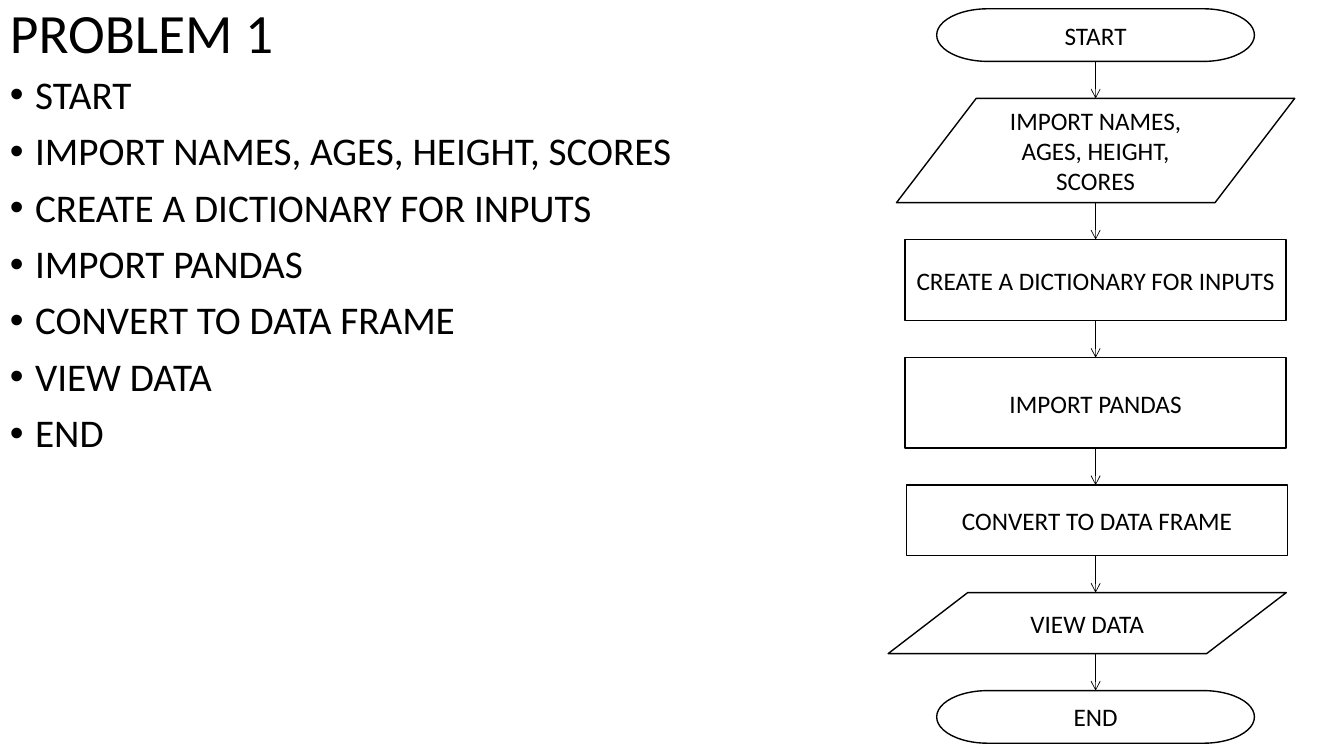
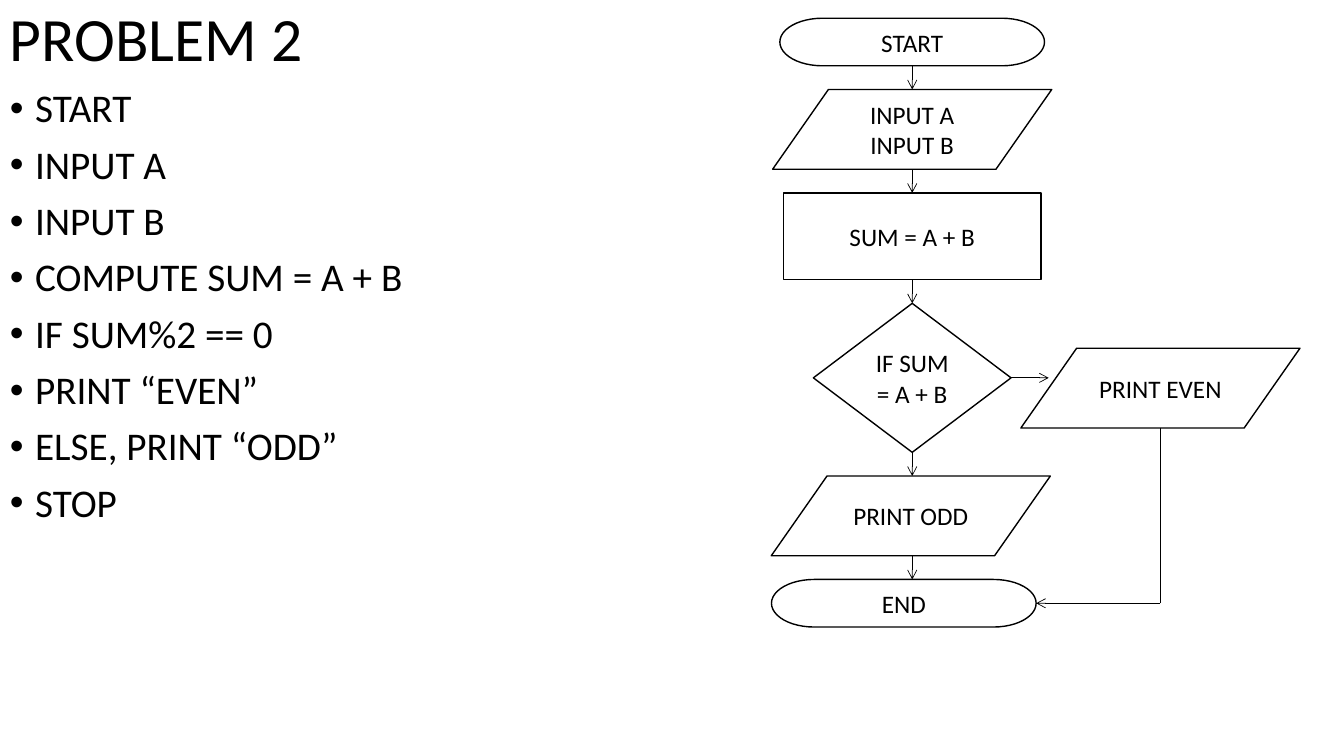
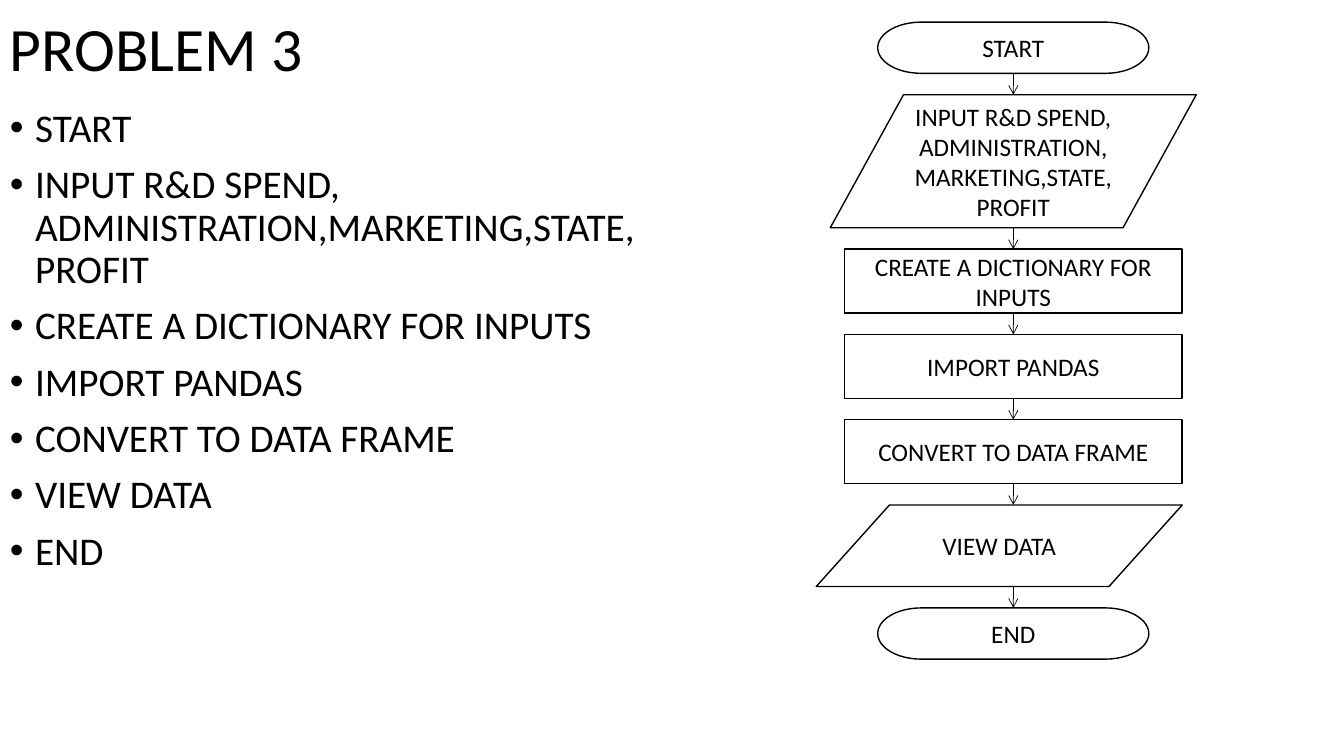
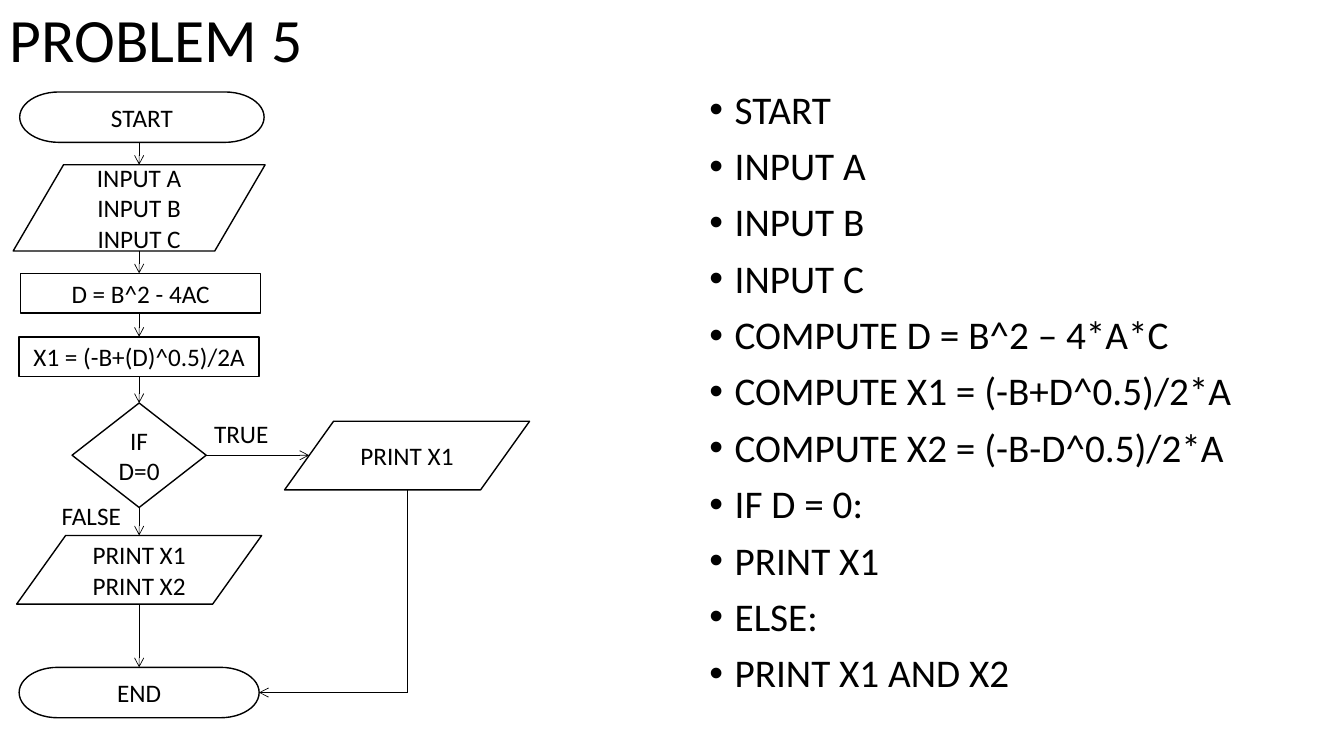
import dataclasses

import lxml.etree
import pptx
import pptx.dml.color
import pptx.enum.shapes
import pptx.enum.text
import pptx.oxml.ns
import pptx.util

Pt = pptx.util.Pt
SHAPES = pptx.enum.shapes.MSO_SHAPE
ALIGN = pptx.enum.text.PP_ALIGN
ANCHOR = pptx.enum.text.MSO_ANCHOR

FONT = "Calibri"
INK = "000000"
PAPER = "FFFFFF"
TITLE_SIZE, LIST_SIZE, STEP_SIZE = 44, 28, 18
BULLET_INDENT = 18
KINDS = {
    "terminal": SHAPES.FLOWCHART_TERMINATOR,
    "data": SHAPES.FLOWCHART_DATA,
    "process": SHAPES.RECTANGLE,
    "decision": SHAPES.FLOWCHART_DECISION,
}


@dataclasses.dataclass
class Box:
    """A rectangle in points."""
    left: float
    top: float
    width: float
    height: float

    @property
    def right(self):
        """Return the right edge."""
        return self.left + self.width

    @property
    def bottom(self):
        """Return the bottom edge."""
        return self.top + self.height

    @property
    def center(self):
        """Return the horizontal centre."""
        return self.left + self.width / 2

    @property
    def middle(self):
        """Return the vertical centre."""
        return self.top + self.height / 2

    def lengths(self):
        """Return left, top, width and height as lengths."""
        return [Pt(value) for value in (self.left, self.top, self.width, self.height)]


@dataclasses.dataclass
class Step:
    """One flowchart step; shift moves it off the axis, gap overrides the space above."""
    kind: str
    text: str
    width: float
    height: float
    shift: float = 0
    gap: float = None


def color(value):
    """Turn a hex string into a colour."""
    return pptx.dml.color.RGBColor.from_string(value)


def write(frame, text, size, anchor=ANCHOR.TOP, align=ALIGN.LEFT):
    """Fill a text frame with evenly formatted paragraphs."""
    frame.word_wrap = True
    frame.vertical_anchor = anchor
    frame.text = text
    for para in frame.paragraphs:
        para.alignment = align
        for span in para.runs:
            span.font.name = FONT
            span.font.size = Pt(size)
            span.font.color.rgb = color(INK)


def add_text(page, box, text, size, anchor=ANCHOR.TOP):
    """Add a text box and return its frame."""
    frame = page.shapes.add_textbox(*box.lengths()).text_frame
    write(frame, text, size, anchor)
    return frame


def add_title(page, box, text, size):
    """Add the slide title."""
    frame = add_text(page, box, text, size, ANCHOR.MIDDLE)
    frame.paragraphs[0].line_spacing = 0.9


def add_bullets(page, box, lines):
    """Add the bulleted pseudocode list."""
    frame = add_text(page, box, "\n".join(lines), LIST_SIZE)
    for para in frame.paragraphs:
        para.line_spacing = 0.9
        para.space_before = Pt(10)
        properties = para._p.get_or_add_pPr()
        properties.set("marL", str(Pt(BULLET_INDENT)))
        properties.set("indent", str(-Pt(BULLET_INDENT)))
        for tag, name, value in (("a:buFont", "typeface", "Arial"), ("a:buChar", "char", "\u2022")):
            lxml.etree.SubElement(properties, pptx.oxml.ns.qn(tag)).set(name, value)


def add_line(page, start, end, arrow=True):
    """Draw a thin line between two points, with an arrowhead at its end."""
    line = page.shapes.add_connector(
        pptx.enum.shapes.MSO_CONNECTOR.STRAIGHT, *[Pt(value) for value in (*start, *end)])
    line.line.width = Pt(0.5)
    line.line.color.rgb = color(INK)
    if arrow:
        outline = line.line._get_or_add_ln()
        lxml.etree.SubElement(outline, pptx.oxml.ns.qn("a:tailEnd")).set("type", "arrow")
    lxml.etree.SubElement(line._element.spPr, pptx.oxml.ns.qn("a:effectLst"))


def add_step(page, box, kind, text):
    """Draw one flowchart symbol with its text."""
    shape = page.shapes.add_shape(KINDS[kind], *box.lengths())
    shape.shadow.inherit = False
    shape.fill.solid()
    shape.fill.fore_color.rgb = color(PAPER)
    shape.line.color.rgb = color(INK)
    shape.line.width = Pt(1)
    write(shape.text_frame, text, STEP_SIZE, ANCHOR.MIDDLE, ALIGN.CENTER)


def add_flow(page, axis, top, gap, steps):
    """Stack steps along a vertical axis, join them by arrows and return their boxes."""
    boxes = []
    for step in steps:
        if boxes:
            above = boxes[-1].bottom
            top = above + (gap if step.gap is None else step.gap)
            add_line(page, (axis, above), (axis, top))
        box = Box(axis + step.shift - step.width / 2, top, step.width, step.height)
        add_step(page, box, step.kind, step.text)
        boxes.append(box)
    return boxes


def add_branch(page, decision, end, box, text):
    """Add an output beside a decision and lead it back to the end step."""
    add_step(page, box, "data", text)
    add_line(page, (decision.right, decision.middle), (box.left + box.width / 10, decision.middle))
    add_line(page, (box.center, box.bottom), (box.center, end.middle), arrow=False)
    add_line(page, (box.center, end.middle), (end.right, end.middle))


def add_problem(deck, number, title_box, list_box, lines, title_size=TITLE_SIZE):
    """Add a slide with the problem title and its pseudocode."""
    page = deck.slides.add_slide(deck.slide_layouts[6])
    add_title(page, title_box, f"PROBLEM {number}", title_size)
    add_bullets(page, list_box, lines)
    return page


def add_name_table_problem(deck):
    """Build problem 1: a data frame of names and scores."""
    page = add_problem(deck, 1, Box(0, 0, 225.5, 50.5), Box(0, 50.5, 553, 489.5), [
        "START", "IMPORT NAMES, AGES, HEIGHT, SCORES", "CREATE A DICTIONARY FOR INPUTS",
        "IMPORT PANDAS", "CONVERT TO DATA FRAME", "VIEW DATA", "END"], title_size=39.6)
    add_flow(page, 782.6, 6.3, 26.4, [
        Step("terminal", "START", 227, 37.6),
        Step("data", "IMPORT NAMES, AGES, HEIGHT, SCORES", 284.4, 74.4),
        Step("process", "CREATE A DICTIONARY FOR INPUTS", 272.2, 58),
        Step("process", "IMPORT PANDAS", 272.2, 64.6),
        Step("process", "CONVERT TO DATA FRAME", 272.2, 50.4, shift=1),
        Step("data", "VIEW DATA", 284.4, 43.6, shift=-6),
        Step("terminal", "END", 227, 37.6)])


def add_parity_problem(deck):
    """Build problem 2: whether a sum is even or odd."""
    page = add_problem(deck, 2, Box(0, 0, 247, 60), Box(0, 60, 390, 480), [
        "START", "INPUT A", "INPUT B", "COMPUTE SUM = A + B", "IF SUM%2 == 0",
        "PRINT \u201cEVEN\u201d", "ELSE, PRINT \u201cODD\u201d", "STOP"])
    boxes = add_flow(page, 651.6, 13, 16.9, [
        Step("terminal", "START", 189, 34),
        Step("data", "INPUT A\nINPUT B", 199.4, 57),
        Step("process", "SUM = A + B", 184, 62),
        Step("decision", "IF SUM = A + B", 141.2, 106.4),
        Step("data", "PRINT ODD", 199.4, 57, shift=-1),
        Step("terminal", "END", 189, 34, shift=-6)])
    decision = boxes[3]
    add_branch(page, decision, boxes[-1],
               Box(decision.right + 7, decision.top + 32, 199.4, 57), "PRINT EVEN")


def add_spending_problem(deck):
    """Build problem 3: a data frame of spending and profit."""
    inputs = "INPUT R&D SPEND, ADMINISTRATION,MARKETING,STATE,PROFIT"
    page = add_problem(deck, 3, Box(0, 0, 255, 74), Box(0, 74, 468, 466), [
        "START", inputs, "CREATE A DICTIONARY FOR INPUTS", "IMPORT PANDAS",
        "CONVERT TO DATA FRAME", "VIEW DATA", "END"])
    add_flow(page, 723.8, 15.8, 15.3, [
        Step("terminal", "START", 193.7, 36.6),
        Step("data", inputs, 261.4, 95),
        Step("process", "CREATE A DICTIONARY FOR INPUTS", 241.2, 45.6),
        Step("process", "IMPORT PANDAS", 241.2, 45.6),
        Step("process", "CONVERT TO DATA FRAME", 241.2, 45.6),
        Step("data", "VIEW DATA", 261.4, 58.2, shift=-10),
        Step("terminal", "END", 193.7, 36.6)])


def add_roots_problem(deck):
    """Build problem 5: the roots of a quadratic equation."""
    page = add_problem(deck, 5, Box(0, 0, 248, 61), Box(499.7, 61, 450, 479), [
        "START", "INPUT A", "INPUT B", "INPUT C", "COMPUTE D = B^2 \u2013 4*A*C",
        "COMPUTE X1 = (-B+D^0.5)/2*A", "COMPUTE X2 = (-B-D^0.5)/2*A",
        "IF D = 0:", "PRINT X1", "ELSE:", "PRINT X1 AND X2"])
    boxes = add_flow(page, 99.4, 65.7, 16, [
        Step("terminal", "START", 174.6, 36, shift=2),
        Step("data", "INPUT A\nINPUT B\nINPUT C", 180, 61.6),
        Step("process", "D = B^2 - 4AC", 171.4, 28.3, shift=1),
        Step("process", "X1 = (-B+(D)^0.5)/2A", 171.4, 28.3, gap=17),
        Step("decision", "IF\nD=0", 95.8, 74.6, gap=19),
        Step("data", "PRINT X1\nPRINT X2", 175, 49, gap=20),
        Step("terminal", "END", 171.4, 36, gap=45.2)])
    decision = boxes[4]
    add_branch(page, decision, boxes[-1],
               Box(decision.right + 56, decision.top + 13, 175, 49), "PRINT X1")
    add_text(page, Box(decision.right - 1.5, decision.middle - 30, 73, 29), "TRUE", STEP_SIZE)
    add_text(page, Box(decision.left - 14.5, decision.bottom - 9, 65, 29), "FALSE", STEP_SIZE)


def main():
    """Build and save the deck."""
    deck = pptx.Presentation()
    deck.slide_width, deck.slide_height = Pt(960), Pt(540)
    add_name_table_problem(deck)
    add_parity_problem(deck)
    add_spending_problem(deck)
    add_roots_problem(deck)
    deck.save("out.pptx")


main()
